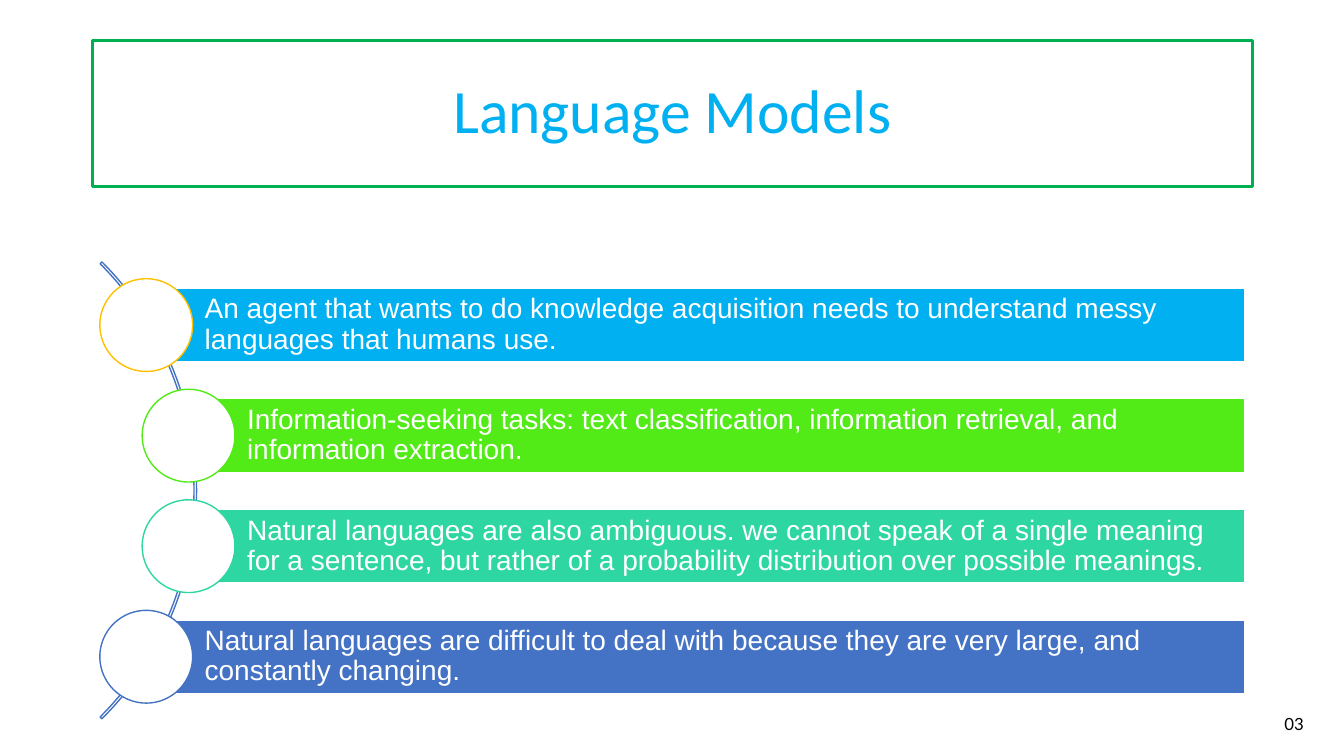
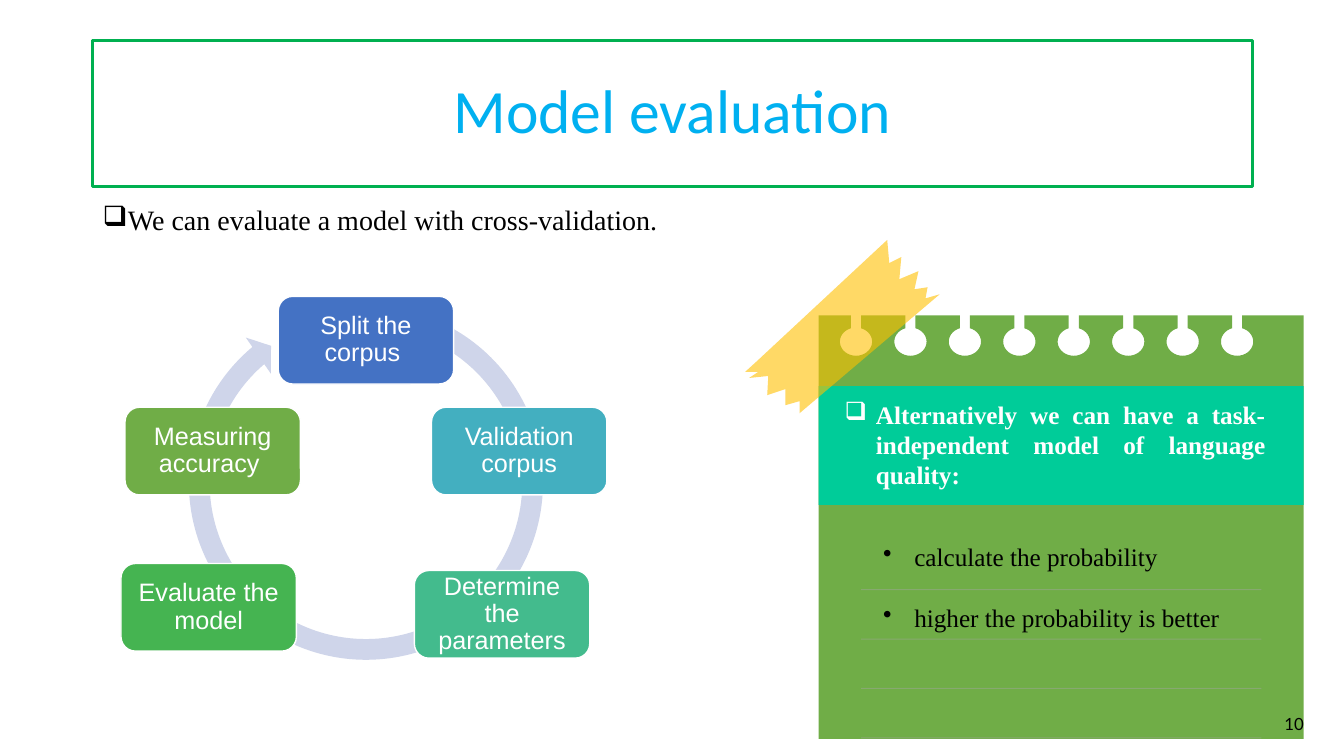
from math import asin, cos, pi, sin

from lxml.etree import SubElement
from pptx import Presentation
from pptx.dml.color import RGBColor
from pptx.enum.shapes import MSO_CONNECTOR, MSO_SHAPE
from pptx.enum.text import MSO_ANCHOR, PP_ALIGN
from pptx.oxml.ns import qn
from pptx.util import Inches, Pt

WHITE = RGBColor(0xFF, 0xFF, 0xFF)
BLACK = RGBColor(0x00, 0x00, 0x00)
SKY = RGBColor(0x00, 0xB0, 0xF0)
FRAME_GREEN = RGBColor(0x00, 0xB0, 0x50)
BLUE = RGBColor(0x44, 0x72, 0xC4)
LIME = RGBColor(0x53, 0xEB, 0x17)
MINT = RGBColor(0x2E, 0xD7, 0xA1)
GOLD = RGBColor(0xFF, 0xC0, 0x00)
PALE_BLUE = RGBColor(0xCF, 0xD5, 0xEA)
TEAL = RGBColor(0x43, 0xAF, 0xC0)
SEA_GREEN = RGBColor(0x43, 0xBB, 0x8D)
LEAF = RGBColor(0x45, 0xB4, 0x51)
NOTE_GREEN = RGBColor(0x70, 0xAD, 0x47)
NOTE_BAND = RGBColor(0x00, 0xCC, 0x99)
GREY = RGBColor(0xA6, 0xA6, 0xA6)

SERIF = "Times New Roman"

STATEMENTS = [
    ("An agent that wants to do knowledge acquisition needs to understand messy "
     "languages that humans use.", 1.45, SKY, GOLD),
    ("Information-seeking tasks: text classification, information retrieval, and "
     "information extraction.", 1.87, LIME, LIME),
    ("Natural languages are also ambiguous. we cannot speak of a single meaning for a "
     "sentence, but rather of a probability distribution over possible meanings.",
     1.87, MINT, MINT),
    ("Natural languages are difficult to deal with because they are very large, and "
     "constantly changing.", 1.45, BLUE, BLUE),
]
CYCLE_STEPS = [
    ("Split the corpus ", 2.76, 2.94, BLUE),
    ("Validation corpus", 4.28, 4.04, TEAL),
    ("Determine the parameters", 4.11, 5.66, SEA_GREEN),
    ("Evaluate the model", 1.2, 5.59, LEAF),
    ("Measuring accuracy ", 1.24, 4.04, NOTE_GREEN),
]
NOTE_HEADING = "Alternatively we can have a task-independent model of language quality:"
NOTE_POINTS = ["calculate the probability", "higher the probability is better"]
TAPE_OUTLINE = [
    (7.5, 3.59), (8.8, 2.38), (8.82, 2.61), (8.94, 2.55), (8.92, 2.77), (9.11, 2.69),
    (9.07, 2.87), (9.2, 2.85), (9.18, 2.96), (9.32, 2.92), (7.93, 4.1), (7.93, 3.98),
    (7.79, 4.02), (7.79, 3.86), (7.61, 3.92), (7.62, 3.73), (7.43, 3.75), (7.52, 3.69),
    (7.39, 3.69),
]


def set_alpha(element, percent):
    color = next(element.iter(qn("a:srgbClr")))
    SubElement(color, qn("a:alpha")).set("val", str(percent * 1000))


def style_shape(shape, fill=None, line=None, line_width=1):
    shape.shadow.inherit = False
    if fill is None:
        shape.fill.background()
    else:
        shape.fill.solid()
        shape.fill.fore_color.rgb = fill
    if line is None:
        shape.line.fill.background()
    else:
        shape.line.color.rgb = line
        shape.line.width = Pt(line_width)
    return shape


def add_box(slide, kind, left, top, width, height, adjustments=(), **style):
    shape = slide.shapes.add_shape(
        kind, Inches(left), Inches(top), Inches(width), Inches(height))
    for index, value in enumerate(adjustments):
        shape.adjustments[index] = value
    return style_shape(shape, **style)


def add_outline(slide, points, fill):
    corners = [(Inches(x), Inches(y)) for x, y in points]
    builder = slide.shapes.build_freeform(*corners[0])
    builder.add_line_segments(corners[1:], close=True)
    return style_shape(builder.convert_to_shape(), fill=fill)


def add_bullet(paragraph, character, color, indent):
    properties = paragraph._p.get_or_add_pPr()
    properties.set("marL", str(Inches(indent)))
    properties.set("indent", str(-Inches(indent)))
    bullet_color = SubElement(properties, qn("a:buClr"))
    SubElement(bullet_color, qn("a:srgbClr")).set("val", str(color))
    SubElement(properties, qn("a:buChar")).set("char", character)


def write_text(shape, *texts, size, font, color, bold=False, align=PP_ALIGN.LEFT,
               anchor=MSO_ANCHOR.TOP, insets=(0.1, 0.05, 0.1, 0.05), line_spacing=1.0,
               gap=0, bullet=None, indent=0.31):
    frame = shape.text_frame
    frame.word_wrap = True
    frame.vertical_anchor = anchor
    frame.margin_left, frame.margin_top, frame.margin_right, frame.margin_bottom = map(
        Inches, insets)
    for index, text in enumerate(texts):
        paragraph = frame.add_paragraph() if index else frame.paragraphs[0]
        if bullet:
            add_bullet(paragraph, bullet, color, indent)
        paragraph.alignment = align
        paragraph.line_spacing = line_spacing
        if index and gap:
            paragraph.space_before = Pt(gap)
        run = paragraph.add_run()
        run.text = text
        run.font.size = Pt(size)
        run.font.name = font
        run.font.bold = bold
        run.font.color.rgb = color


def add_text(slide, left, top, width, height, *texts, **text_format):
    box = slide.shapes.add_textbox(
        Inches(left), Inches(top), Inches(width), Inches(height))
    write_text(box, *texts, **text_format)


def add_rule(slide, left, right, y):
    rule = slide.shapes.add_connector(
        MSO_CONNECTOR.STRAIGHT, Inches(left), Inches(y), Inches(right), Inches(y))
    rule.line.color.rgb = GREY
    rule.line.width = Pt(0.75)
    properties = rule._element.spPr
    set_alpha(properties, 44)
    SubElement(properties, qn("a:effectLst"))


def add_titled_slide(presentation, title):
    slide = presentation.slides.add_slide(presentation.slide_layouts[6])
    frame = add_box(slide, MSO_SHAPE.RECTANGLE, 0.92, 0.4, 11.5, 1.45,
                    line=FRAME_GREEN, line_width=2.25)
    write_text(frame, title, size=44, font="Calibri", color=SKY, align=PP_ALIGN.CENTER,
               anchor=MSO_ANCHOR.MIDDLE, line_spacing=0.9)
    return slide


def add_page_number(slide, number):
    add_text(slide, 12.5, 7.03, 0.67, 0.3, number, size=12, font="Lato", color=BLACK,
             align=PP_ALIGN.CENTER)


def notepad_outline(left=8.12, top=3.13, right=12.93, bottom=7.33):
    hole_count, first_hole, pitch = 8, 8.49, 0.54
    hole_y, radius_x, radius_y, half_slot, steps = 3.39, 0.16, 0.14, 0.05, 32
    opening = asin(half_slot / radius_x)
    points = [(left, top)]
    for hole in range(hole_count):
        center = first_hole + hole * pitch
        points.append((center - half_slot, top))
        for step in range(steps + 1):
            angle = opening + (2 * pi - 2 * opening) * step / steps
            points.append((center - radius_x * sin(angle), hole_y - radius_y * cos(angle)))
        points.append((center + half_slot, top))
    return points + [(right, top), (right, bottom), (left, bottom)]


def build_language_models(presentation):
    slide = add_titled_slide(presentation, "Language Models")
    add_box(slide, MSO_SHAPE.BLOCK_ARC, -4.46, 1.66, 6.41, 6.41,
            adjustments=(189, 27, 0.004), line=BLUE)
    first_top, last_top, height, right, diameter = 2.86, 6.15, 0.73, 12.35, 0.92
    pitch = (last_top - first_top) / (len(STATEMENTS) - 1)
    for index, (text, left, fill, ring) in enumerate(STATEMENTS):
        top = first_top + index * pitch
        bar = add_box(slide, MSO_SHAPE.RECTANGLE, left, top, right - left, height,
                      fill=fill, line=WHITE)
        write_text(bar, text, size=20, font="Arial", color=WHITE, line_spacing=0.9,
                   anchor=MSO_ANCHOR.MIDDLE, insets=(0.58, 0.06, 0.06, 0.06))
        add_box(slide, MSO_SHAPE.OVAL, left - diameter / 2, top + (height - diameter) / 2,
                diameter, diameter, fill=WHITE, line=ring)
    add_page_number(slide, "03")


def add_cycle(slide):
    add_box(slide, MSO_SHAPE.CIRCULAR_ARROW, 1.76, 2.92, 3.74, 3.74,
            adjustments=(0.055, 3.307, 137.868, 173.794, 0.058), fill=PALE_BLUE)
    for text, left, top, fill in CYCLE_STEPS:
        step = add_box(slide, MSO_SHAPE.ROUNDED_RECTANGLE, left, top, 1.74, 0.87,
                       fill=fill, line=WHITE)
        write_text(step, text, size=18, font="Arial", color=WHITE, line_spacing=0.9,
                   align=PP_ALIGN.CENTER, anchor=MSO_ANCHOR.MIDDLE, insets=(0.07,) * 4)


def add_notepad(slide):
    add_outline(slide, notepad_outline(), NOTE_GREEN)
    add_box(slide, MSO_SHAPE.RECTANGLE, 8.12, 3.83, 4.81, 1.18, fill=NOTE_BAND)
    add_text(slide, 8.28, 3.91, 4.37, 1, NOTE_HEADING, size=18, font=SERIF, color=WHITE,
             bold=True, align=PP_ALIGN.JUSTIFY, bullet="❑")
    for index in range(4):
        add_rule(slide, 8.54, 12.51, 5.85 + index * 0.49)
    add_text(slide, 8.66, 5.32, 3.69, 1, *NOTE_POINTS, size=18, font=SERIF, color=BLACK,
             bullet="•", gap=22)
    tape = add_outline(slide, TAPE_OUTLINE, GOLD)
    set_alpha(tape._element.spPr, 60)


def build_model_evaluation(presentation):
    slide = add_titled_slide(presentation, "Model evaluation")
    add_text(slide, 0.92, 2, 11.66, 0.78, "We can evaluate a model with cross-validation.",
             size=20, font=SERIF, color=BLACK, line_spacing=0.9, bullet="❑", indent=0.25)
    add_cycle(slide)
    add_notepad(slide)
    add_page_number(slide, "10")


def main():
    presentation = Presentation()
    presentation.slide_width = Inches(13.33)
    presentation.slide_height = Inches(7.5)
    build_language_models(presentation)
    build_model_evaluation(presentation)
    presentation.save("out.pptx")


if __name__ == "__main__":
    main()
